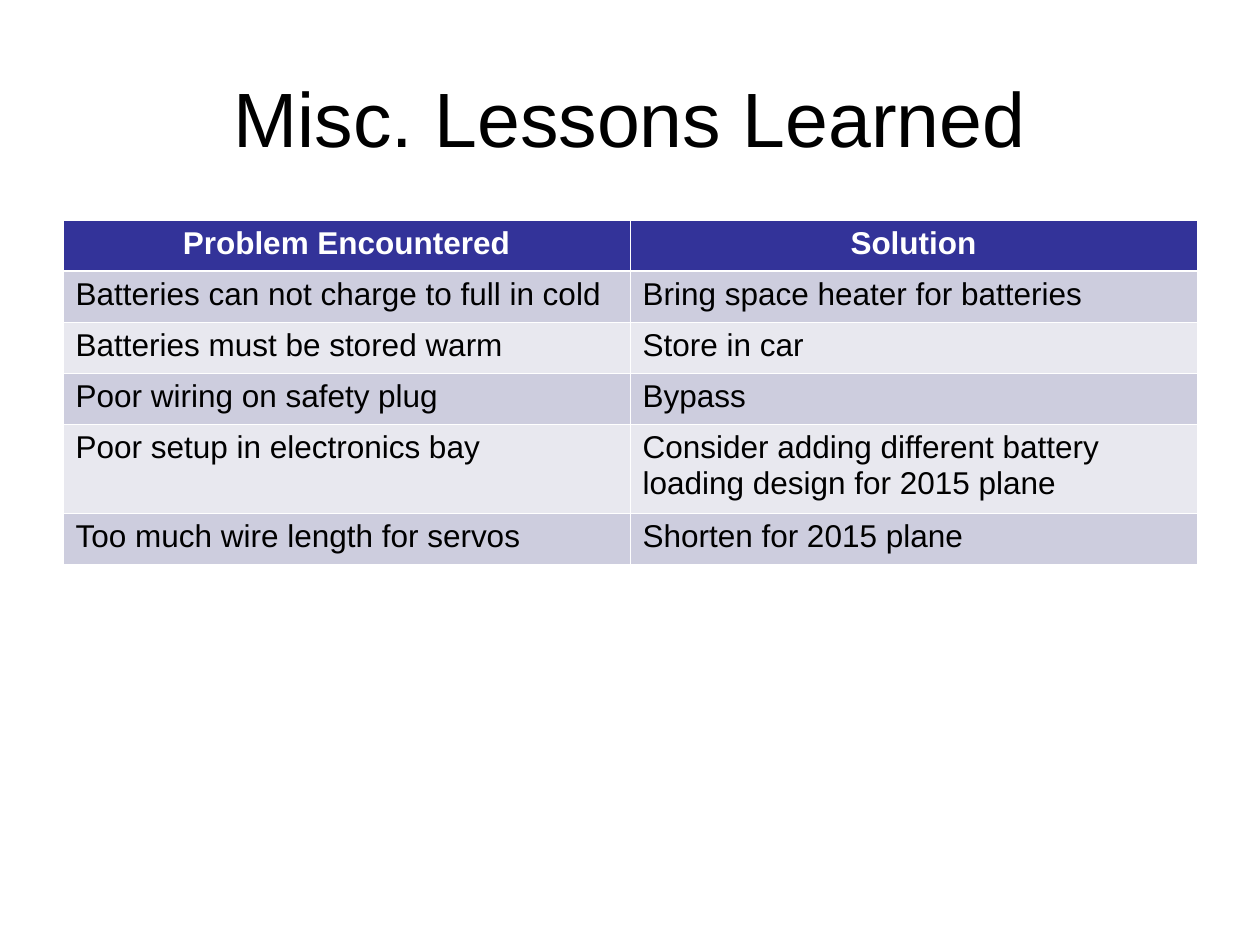
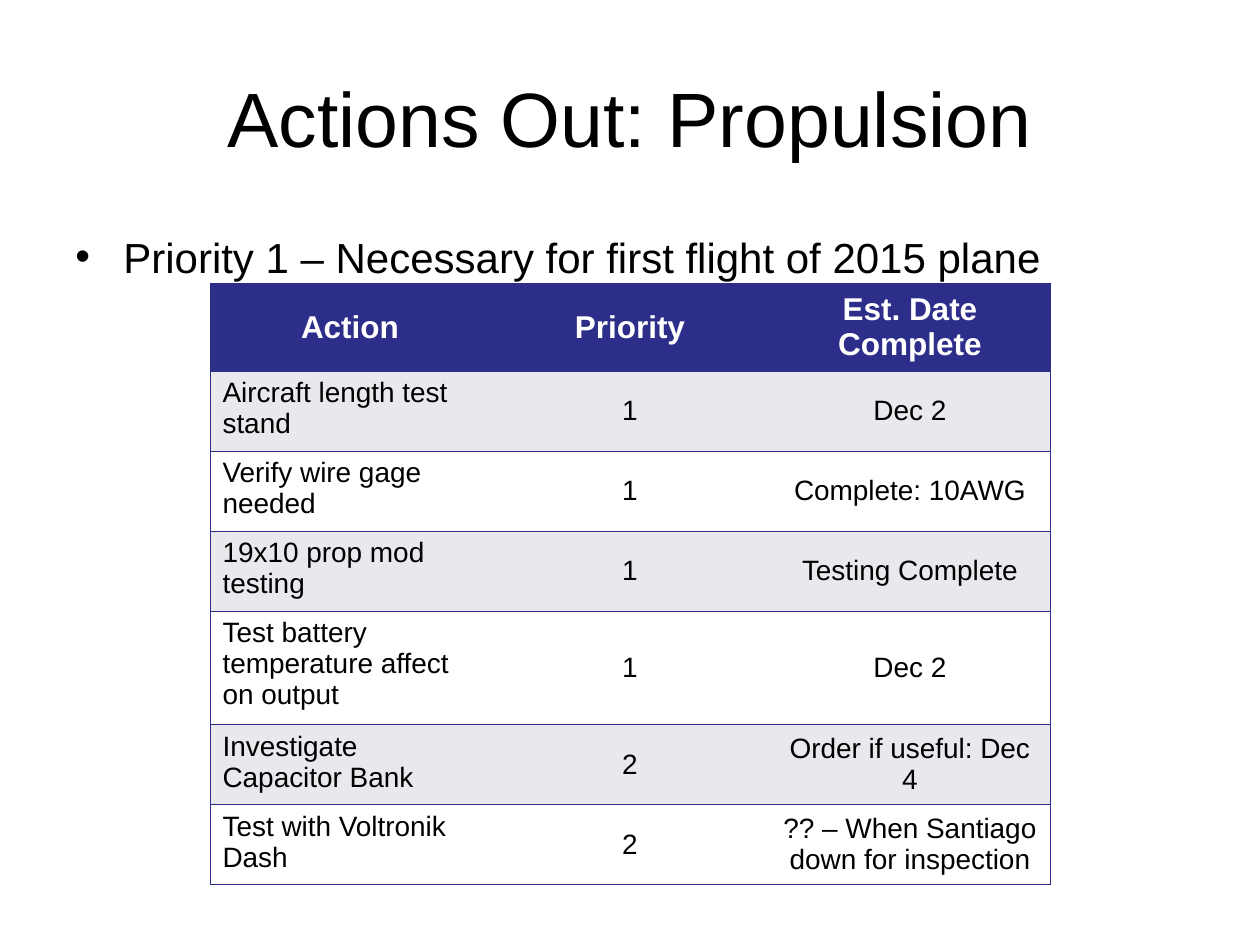
from dataclasses import dataclass

from lxml import etree
from pptx import Presentation, util as u
from pptx.dml.color import RGBColor
from pptx.enum import text as t
from pptx.oxml import ns

EMU_PER_PX = 914400 / 126


@dataclass(frozen=True)
class Theme:
    font: str = "Arial"
    ink: str = "000000"
    white: str = "FFFFFF"
    indigo: str = "333399"
    lavender: str = "CDCDDE"
    mist: str = "E8E8EF"
    navy: str = "2D2D8A"
    pale: str = "E8E8ED"
    title: int = 44
    bullet: int = 24
    head: int = 18
    cell: int = 16
    hairline: float = 0.45
    rule: float = 1.5


@dataclass(frozen=True)
class TableStyle:
    head: str
    bands: tuple
    border: str
    size: int
    rule: float
    inner_verticals: bool
    centred: bool


THEME = Theme()
LESSONS_STYLE = TableStyle(THEME.indigo, (THEME.lavender, THEME.mist), THEME.white,
                           THEME.head, THEME.rule, True, False)
ACTIONS_STYLE = TableStyle(THEME.navy, (THEME.pale, THEME.white), THEME.navy,
                           THEME.cell, THEME.hairline, False, True)

TITLE_BOX = (63, 38, 1134, 158)
BODY_BOX = (63, 220, 1134, 624)

LESSONS = [
    ("Problem Encountered", "Solution"),
    ("Batteries can not charge to full in cold", "Bring space heater for batteries"),
    ("Batteries must be stored warm", "Store in car"),
    ("Poor wiring on safety plug", "Bypass"),
    ("Poor setup in electronics bay",
     "Consider adding different battery loading design for 2015 plane"),
    ("Too much wire length for servos", "Shorten for 2015 plane"),
]
ACTIONS = [
    ("Action", "Priority", "Est. Date Complete"),
    ("Aircraft length test stand", "1", "Dec 2"),
    ("Verify wire gage needed", "1", "Complete: 10AWG"),
    ("19x10 prop mod testing", "1", "Testing Complete"),
    ("Test battery temperature affect on output", "1", "Dec 2"),
    ("Investigate Capacitor Bank", "2", "Order if useful: Dec 4"),
    ("Test with Voltronik Dash", "2", "?? – When Santiago down for inspection"),
]


def px(n):
    return u.Emu(round(n * EMU_PER_PX))


def format_text(p, size, color, bold=False, align=t.PP_ALIGN.LEFT):
    p.alignment = align
    for r in p.runs:
        r.font.name = THEME.font
        r.font.size = u.Pt(size)
        r.font.bold = bold
        r.font.color.rgb = RGBColor.from_string(color)


def add_text(s, box, words):
    tf = s.shapes.add_textbox(*map(px, box)).text_frame
    tf.word_wrap = True
    tf.text = words
    return tf


def add_title(s, box, words):
    tf = add_text(s, box, words)
    tf.vertical_anchor = t.MSO_ANCHOR.MIDDLE
    format_text(tf.paragraphs[0], THEME.title, THEME.ink, align=t.PP_ALIGN.CENTER)


def add_bullet(s, box, words):
    tf = add_text(s, box, words)
    tf.margin_top = px(11)
    p = tf.paragraphs[0]
    pPr = p._p.get_or_add_pPr()
    pPr.set("marL", str(px(48)))
    pPr.set("indent", str(-px(48)))
    etree.SubElement(pPr, ns.qn("a:buFont")).set("typeface", THEME.font)
    etree.SubElement(pPr, ns.qn("a:buChar")).set("char", "•")
    format_text(p, THEME.bullet, THEME.ink)


def set_borders(cell, color, widths):
    """Draw the left, right, top and bottom borders; a width of 0 draws none."""
    tcPr = cell._tc.get_or_add_tcPr()
    for i, (side, width) in enumerate(zip("LRTB", widths)):
        ln = etree.Element(ns.qn(f"a:ln{side}"), w=str(u.Pt(width)))
        if width:
            fill = etree.SubElement(ln, ns.qn("a:solidFill"))
            etree.SubElement(fill, ns.qn("a:srgbClr")).set("val", color)
        else:
            etree.SubElement(ln, ns.qn("a:noFill"))
        tcPr.insert(i, ln)


def style_cell(cell, row, col, last_col, style):
    is_head = row == 0
    middle = style.centred and (is_head or col > 0)
    cell.vertical_anchor = t.MSO_ANCHOR.MIDDLE if middle else t.MSO_ANCHOR.TOP
    align = t.PP_ALIGN.CENTER if is_head or middle else t.PP_ALIGN.LEFT
    format_text(cell.text_frame.paragraphs[0],
                THEME.head if is_head else style.size,
                THEME.white if is_head else THEME.ink, is_head, align)
    cell.fill.solid()
    color = style.head if is_head else style.bands[(row - 1) % 2]
    cell.fill.fore_color.rgb = RGBColor.from_string(color)
    thin = THEME.hairline
    inner = thin if style.inner_verticals else 0
    set_borders(cell, style.border, (
        thin if col == 0 else inner,
        thin if col == last_col else inner,
        style.rule if row == 1 else thin,
        style.rule if is_head else thin,
    ))


def add_grid(s, left, top, width, heights, rows, style):
    """Add a table with equal columns and the given row heights."""
    n_cols = len(rows[0])
    frame = s.shapes.add_table(len(rows), n_cols, px(left), px(top),
                               px(width), px(sum(heights)))
    table = frame.table
    table.horz_banding = False
    for column in table.columns:
        column.width = px(width / n_cols)
    for i, (height, words) in enumerate(zip(heights, rows)):
        table.rows[i].height = px(height)
        for j, word in enumerate(words):
            cell = table.cell(i, j)
            cell.text_frame.text = word
            style_cell(cell, i, j, n_cols - 1, style)


def new_slide(prs, title):
    s = prs.slides.add_slide(prs.slide_layouts[6])
    add_title(s, TITLE_BOX, title)
    return s


def lessons_slide(prs):
    s = new_slide(prs, "Misc. Lessons Learned")
    left, top, width, _ = BODY_BOX
    add_grid(s, left, top, width, [51, 51, 51, 51, 89, 51], LESSONS, LESSONS_STYLE)


def actions_slide(prs):
    s = new_slide(prs, "Actions Out: Propulsion")
    add_bullet(s, BODY_BOX, "Priority 1 – Necessary for first flight of 2015 plane")
    left, top, width, _ = BODY_BOX
    grid_width = 840
    add_grid(s, left + (width - grid_width) // 2, top + 63, grid_width,
             [88, 80, 80, 80, 113, 80, 80], ACTIONS, ACTIONS_STYLE)


def main():
    prs = Presentation()
    prs.slide_width, prs.slide_height = px(1260), px(945)
    lessons_slide(prs)
    actions_slide(prs)
    prs.save("out.pptx")


if __name__ == "__main__":
    main()
